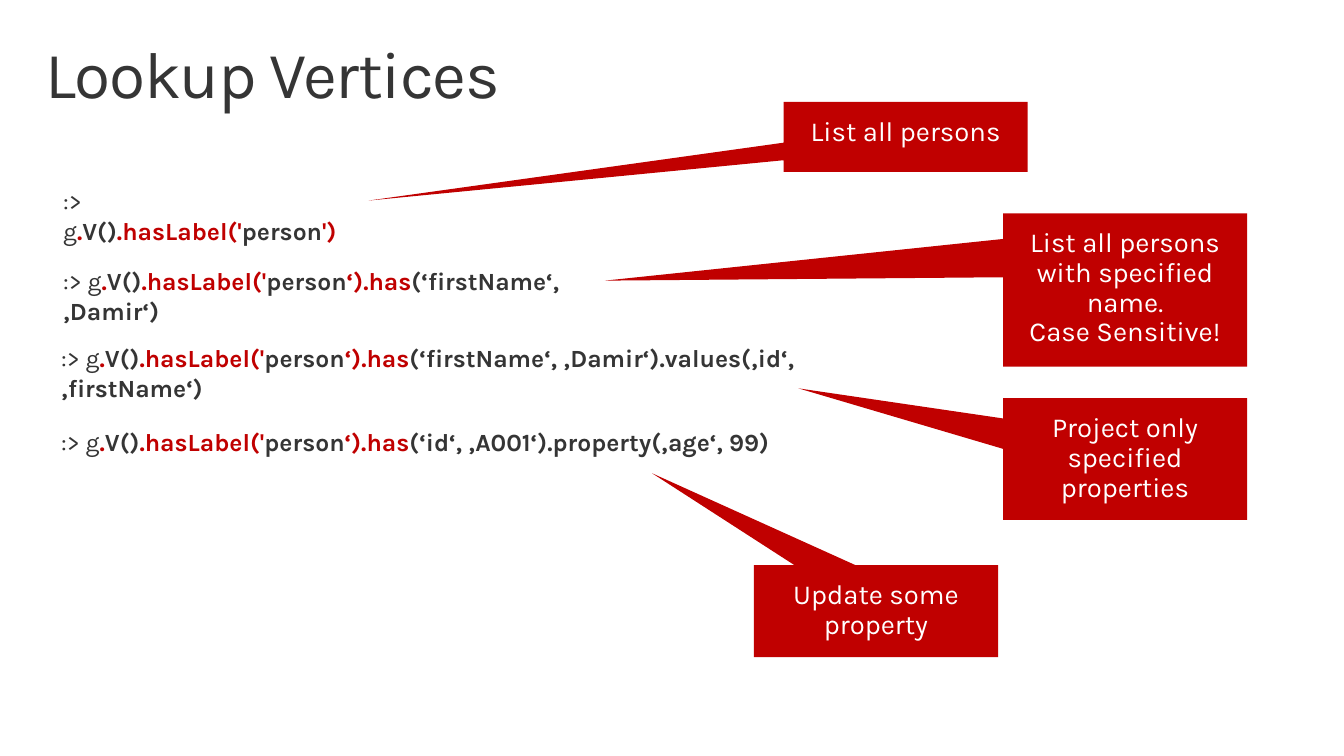
"""Build the "Lookup Vertices" slide: graph queries with explaining callouts."""
from dataclasses import dataclass

from lxml import etree
from pptx import Presentation
from pptx import util as u
from pptx.dml.color import RGBColor
from pptx.enum import shapes, text

EMU_PER_PX = 9144
FONT = "Karla"
INK = RGBColor(0x35, 0x35, 0x35)
RED = RGBColor(0xC0, 0x00, 0x00)
WHITE = RGBColor(0xFF, 0xFF, 0xFF)
CALLOUT_WIDTH = 247


@dataclass(frozen=True)
class Query:
    """A query line: its place, the closing of its label step and the rest."""
    left: int
    top: int
    width: int
    closing: str
    rest: str = ""


@dataclass(frozen=True)
class Callout:
    """A red box whose wedge points at a tip."""
    left: int
    top: int
    height: int
    tip_x: int
    tip_y: int
    lines: tuple[str, ...]


STEPS = (
    (Query(54, 183, 299, "')"),
     Callout(793, 103, 71, 373, 203, ("List all persons",))),
    (Query(54, 264, 561, "‘).has", "(‘firstName‘, ‚Damir‘)"),
     Callout(1015, 216, 155, 612, 284,
             ("List all persons with specified name.", "Case Sensitive!"))),
    (Query(52, 342, 808, "‘).has", "(‘firstName‘, ‚Damir‘).values(‚id‘, ‚firstName‘)"),
     Callout(1015, 403, 123, 808, 393, ("Project only specified properties",))),
    (Query(52, 427, 863, "‘).has", "(‘id‘, ‚A001‘).property(‚age‘, 99)"),
     Callout(763, 572, 93, 660, 479, ("Update some property",))),
)


def px(length: int) -> u.Emu:
    """Turn px into EMU."""
    return u.Emu(length * EMU_PER_PX)


def set_frame(frame, side: int, top: int) -> None:
    """Wrap a text frame and give it equal opposite insets."""
    frame.word_wrap = True
    frame.vertical_anchor = text.MSO_ANCHOR.TOP
    frame.margin_left = frame.margin_right = px(side)
    frame.margin_top = frame.margin_bottom = px(top)


def add_run(paragraph, words: str, size: int, color: RGBColor, bold: bool = False):
    """Append a formatted run to a paragraph."""
    run = paragraph.add_run()
    run.text = words
    run.font.name = FONT
    run.font.size = u.Pt(size)
    run.font.color.rgb = color
    run.font.bold = bold
    return run


def add_title(slide, words: str) -> None:
    """Add the slide title."""
    shape = slide.shapes.add_textbox(px(30), px(32), px(1300), px(100))
    set_frame(shape.text_frame, 16, 10)
    paragraph = shape.text_frame.paragraphs[0]
    paragraph.line_spacing = 0.9
    run = add_run(paragraph, words, 48, INK)
    run._r.get_or_add_rPr().set("spc", "-100")


def add_query(slide, query: Query) -> None:
    """Add a query with its steps in red and its values in dark grey."""
    shape = slide.shapes.add_textbox(px(query.left), px(query.top), px(query.width), px(40))
    set_frame(shape.text_frame, 10, 5)
    paragraph = shape.text_frame.paragraphs[0]
    add_run(paragraph, ":> g", 18, INK)
    parts = ((".", RED), ("V()", INK), (".hasLabel('", RED), ("person", INK),
             (query.closing, RED), (query.rest, INK))
    for words, color in parts:
        if words:
            add_run(paragraph, words, 18, color, bold=True)


def add_callout(slide, callout: Callout) -> None:
    """Add a callout box with its wedge drawn to the tip."""
    shape = slide.shapes.add_shape(
        shapes.MSO_SHAPE.RECTANGULAR_CALLOUT, px(callout.left), px(callout.top),
        px(CALLOUT_WIDTH), px(callout.height))
    shape.adjustments[0] = (callout.tip_x - callout.left) / CALLOUT_WIDTH - 0.5
    shape.adjustments[1] = (callout.tip_y - callout.top) / callout.height - 0.5
    shape.shadow.inherit = False
    shape.fill.solid()
    shape.fill.fore_color.rgb = RED
    shape.line.fill.background()
    frame = shape.text_frame
    set_frame(frame, 20, 16)
    for index, line in enumerate(callout.lines):
        paragraph = frame.add_paragraph() if index else frame.paragraphs[0]
        paragraph.alignment = text.PP_ALIGN.CENTER
        paragraph.line_spacing = 0.9
        add_run(paragraph, line, 20, WHITE)


def main() -> None:
    """Build and save the presentation."""
    presentation = Presentation()
    presentation.slide_width = px(1360)
    presentation.slide_height = px(765)
    slide = presentation.slides.add_slide(presentation.slide_layouts[6])
    add_title(slide, "Lookup Vertices")
    for query, callout in STEPS:
        add_query(slide, query)
        add_callout(slide, callout)
    presentation.save("out.pptx")


if __name__ == "__main__":
    main()
